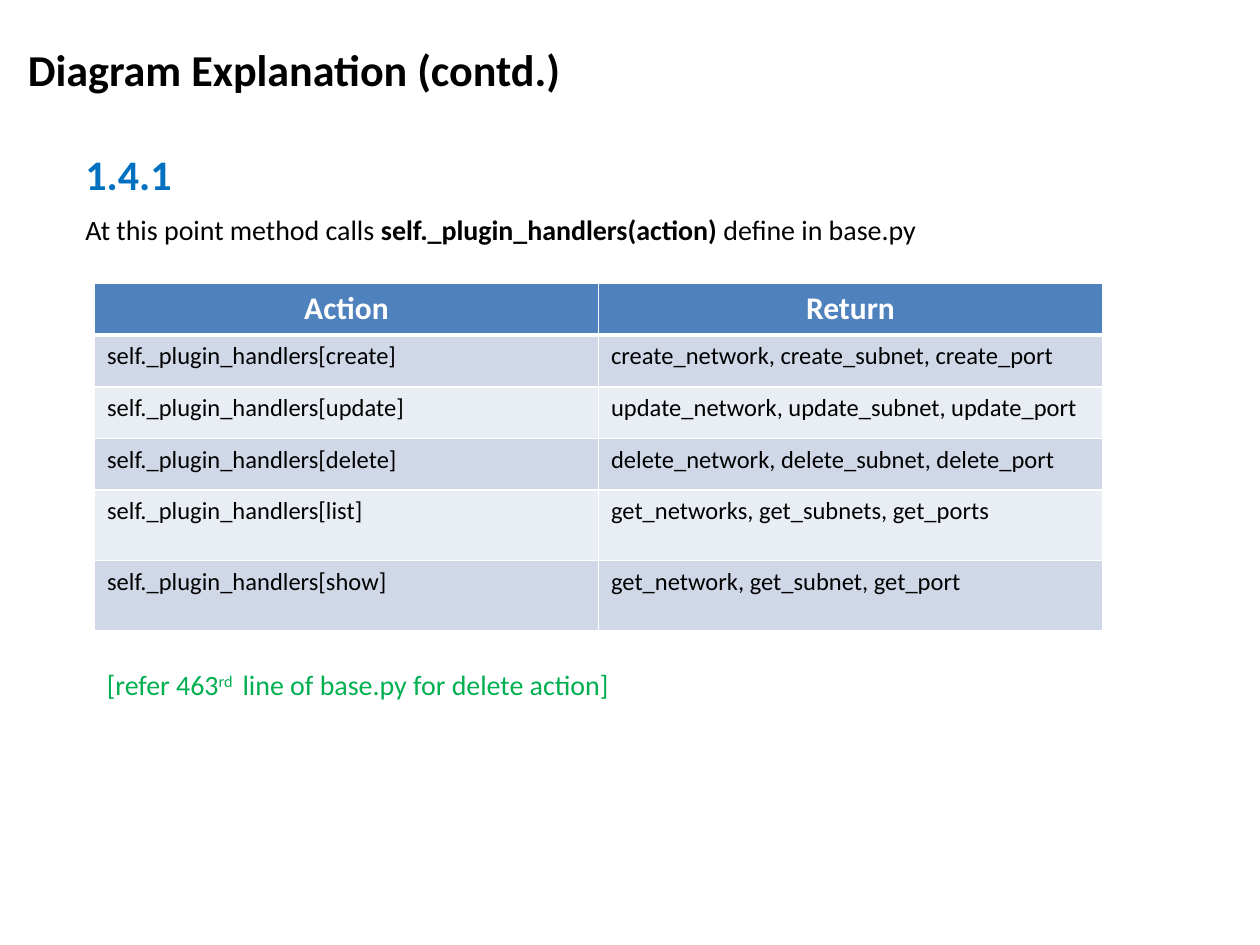
from dataclasses import dataclass

from lxml import etree
from pptx import Presentation
from pptx.dml.color import RGBColor
from pptx.enum.text import MSO_ANCHOR, MSO_AUTO_SIZE, PP_ALIGN
from pptx.oxml.ns import qn
from pptx.util import Inches, Pt

CENTER, LEFT = PP_ALIGN.CENTER, PP_ALIGN.LEFT
MIDDLE, NO_FIT = MSO_ANCHOR.MIDDLE, MSO_AUTO_SIZE.NONE
FONT = "Calibri"
BLACK, WHITE, BLUE, GREEN = "000000", "FFFFFF", "0070C0", "00B050"
HEADER_FILL, BANDS = "4F81BD", ("D0D8E8", "E9EDF4")


@dataclass
class Run:
    text: str
    bold: bool = False
    raised: bool = False


@dataclass
class Note:
    box: tuple
    size: float
    color: str
    runs: list
    wrap: bool = False


NOTES = [
    Note((0.58, 1.13, 0.89, 0.5), 24, BLUE, [Run("1.4.1", bold=True)]),
    Note((0.58, 1.64, 8.17, 0.37), 16, BLACK,
         [Run("At this point method calls "),
          Run("self._plugin_handlers(action) ", bold=True),
          Run("define in base.py ")], wrap=True),
    Note((0.75, 5.25, 4.28, 0.37), 16, GREEN,
         [Run("[refer 463"), Run("rd ", raised=True),
          Run(" line of base.py for delete action]")]),
]

RETURNS = {
    "create": "create_network, create_subnet, create_port",
    "update": "update_network, update_subnet, update_port",
    "delete": "delete_network, delete_subnet, delete_port",
    "list": "get_networks, get_subnets, get_ports",
    "show": "get_network, get_subnet, get_port",
}
ROW_HEIGHTS = [0.41] * 4 + [0.56] * 2
COL_WIDTH = 4


def rgb(color: str) -> RGBColor:
    return RGBColor.from_string(color)


def style(p, size: float, color: str, align=LEFT) -> None:
    p.alignment = align
    p.font.name, p.font.size = FONT, Pt(size)
    p.font.color.rgb = rgb(color)


def add_note(s, note: Note) -> None:
    tf = s.shapes.add_textbox(*map(Inches, note.box)).text_frame
    tf.word_wrap = note.wrap
    p = tf.paragraphs[0]
    style(p, note.size, note.color)
    for run in note.runs:
        r = p.add_run()
        r.text, r.font.bold = run.text, run.bold
        if run.raised:
            r.font._element.set("baseline", "30000")


def add_borders(cell, bottom: float, top: float) -> None:
    tcPr = cell._tc.get_or_add_tcPr()
    widths = {"a:lnL": 1, "a:lnR": 1, "a:lnT": top, "a:lnB": bottom}
    for i, (tag, width) in enumerate(widths.items()):
        ln = etree.Element(qn(tag), w=str(Pt(width)))
        fill = etree.SubElement(ln, qn("a:solidFill"))
        etree.SubElement(fill, qn("a:srgbClr"), val=WHITE)
        tcPr.insert(i, ln)


def fill_cell(cell, text: str, row: int) -> None:
    header = row == 0
    cell.fill.solid()
    cell.fill.fore_color.rgb = rgb(HEADER_FILL if header else BANDS[(row - 1) % 2])
    add_borders(cell, bottom=3 if header else 1, top=3 if row == 1 else 1)
    p = cell.text_frame.paragraphs[0]
    p.text = text
    p.font.bold = header
    if header:
        style(p, 18, WHITE, CENTER)
    else:
        style(p, 14, BLACK)


prs = Presentation()
prs.slide_width, prs.slide_height = Inches(10), Inches(7.5)
s = prs.slides.add_slide(prs.slide_layouts[5])

# Title
title = s.shapes.title
title.left, title.top, title.width, title.height = map(Inches, (0, 0.25, 4.67, 0.59))
tf = title.text_frame
tf.text = "Diagram Explanation (contd.)"
tf.auto_size, tf.vertical_anchor = NO_FIT, MIDDLE
p = tf.paragraphs[0]
style(p, 25.2, BLACK, CENTER)
p.font.bold = True

# Table of actions
rows = [("Action", "Return")]
rows += [(f"self._plugin_handlers[{action}]", result) for action, result in RETURNS.items()]
table = s.shapes.add_table(
    len(rows), 2, Inches(0.75), Inches(2.25),
    Inches(2 * COL_WIDTH), Inches(sum(ROW_HEIGHTS))).table
for column in table.columns:
    column.width = Inches(COL_WIDTH)
for i, (texts, height) in enumerate(zip(rows, ROW_HEIGHTS)):
    table.rows[i].height = Inches(height)
    for j, text in enumerate(texts):
        fill_cell(table.cell(i, j), text, i)

# Heading, explanation and reference
for note in NOTES:
    add_note(s, note)

prs.save("out.pptx")
